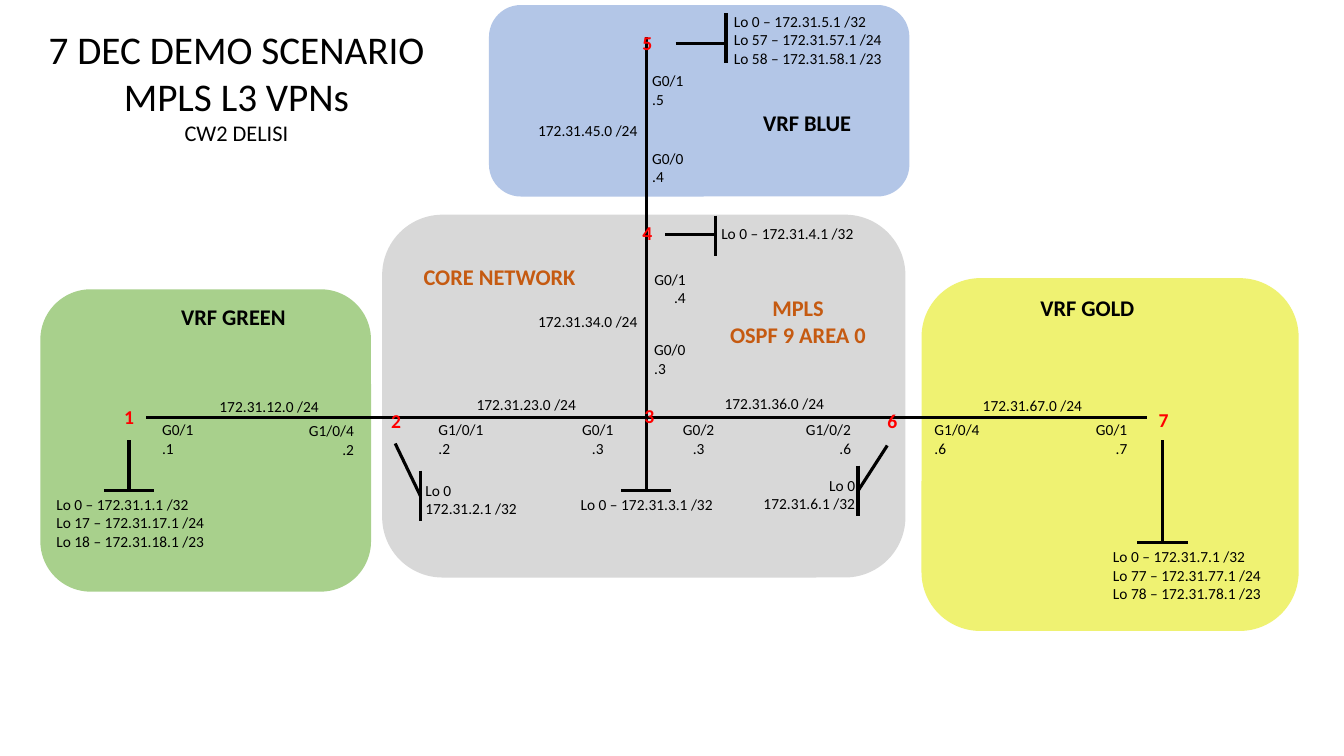
from pptx import Presentation
from pptx import util as u
from pptx.dml.color import RGBColor
from pptx.enum import shapes, text
from pptx.oxml.ns import qn
from lxml import etree

PX = 9144  # 100 px to the inch
FONT = "Calibri"
COLORS = {
    "blue": "B3C6E7", "gold": "EFF272", "green": "A8D08C", "core": "D8D8D8",
    "ink": "000000", "router": "FF0000", "mpls": "C55A11",
}
LEFT, CENTER, RIGHT = (text.PP_ALIGN.LEFT, text.PP_ALIGN.CENTER,
                       text.PP_ALIGN.RIGHT)
LABEL_SIZE, ROUTER_SIZE, HEADING_SIZE = 11, 14, 16
PORT_WIDTH, SUBNET_WIDTH, LOOPBACK_WIDTH = 76, 158, 299

# Panel boxes: left, top, width, height
BOXES = {
    "blue": (485, 5, 417, 190),
    "gold": (914, 276, 374, 350),
    "green": (40, 287, 328, 300),
    "core": (379, 213, 519, 360),
}
TRUNKS = [((641, 487), (641, 37)), ((145, 414), (1138, 414))]

# Parts of each region, placed from its panel's top left corner
# routers: number, x, y
# stubs: start, bar centre, bar length, whether the bar is upright
# headings: text, x, y, width, colour
# subnets: text, x, y
# labels (ports and loopbacks): text, x, y, width, alignment
REGIONS = {
    "blue": {
        "routers": [("5", 142, 21)],
        "stubs": [((185, 38), (235, 33), 50, True)],
        "headings": [("VRF BLUE", 261, 98, 109, "ink")],
        "subnets": [("172.31.45.0 /24", 19, 110)],
        "labels": [
            ("G0/1\n.5", 152, 61, PORT_WIDTH, LEFT),
            ("G0/0\n.4", 152, 138, PORT_WIDTH, LEFT),
            ("Lo 0 – 172.31.5.1 /32\nLo 57 – 172.31.57.1 /24\n"
             "Lo 58 – 172.31.58.1 /23", 233, 2, LOOPBACK_WIDTH, LEFT),
        ],
    },
    "gold": {
        "routers": [("7", 225, 124)],
        "stubs": [((239, 161), (239, 262), 50, False)],
        "headings": [("VRF GOLD", 107, 11, 115, "ink")],
        "subnets": [("172.31.67.0 /24", 31, 112)],
        "labels": [
            ("G1/0/4\n.6", 3, 136, PORT_WIDTH, LEFT),
            ("G0/1\n.7", 138, 136, PORT_WIDTH, RIGHT),
            ("Lo 0 – 172.31.7.1 /32\nLo 77 – 172.31.77.1 /24\n"
             "Lo 78 – 172.31.78.1 /23", 180, 262, LOOPBACK_WIDTH, LEFT),
        ],
    },
    "green": {
        "routers": [("1", 73, 110)],
        "stubs": [((88, 150), (88, 200), 50, False)],
        "headings": [("VRF GREEN", 129, 9, 125, "ink")],
        "subnets": [("172.31.12.0 /24", 148, 102)],
        "labels": [
            ("G0/1\n.1", 111, 125, PORT_WIDTH, LEFT),
            ("G1/0/4\n.2", 245, 126, PORT_WIDTH, RIGHT),
            ("Lo 0 – 172.31.1.1 /32\nLo 17 – 172.31.17.1 /24\n"
             "Lo 18 – 172.31.18.1 /23", 6, 199, LOOPBACK_WIDTH, LEFT),
        ],
    },
    "core": {
        "routers": [("2", -1, 188), ("3", 250, 183), ("4", 248, 1),
                    ("6", 491, 188)],
        "stubs": [
            ((13, 227), (38, 279), 50, True),
            ((262, 201), (262, 274), 50, False),
            ((281, 20), (331, 21), 40, True),
            ((501, 229), (472, 274), 50, True),
        ],
        "headings": [("CORE NETWORK", 30, 43, 173, "mpls"),
                     ("MPLS\nOSPF 9 AREA 0", 334, 74, 157, "mpls")],
        "subnets": [("172.31.34.0 /24", 125, 92),
                    ("172.31.23.0 /24", 64, 174),
                    ("172.31.36.0 /24", 310, 173)],
        "labels": [
            ("G0/1\n.4", 257, 50, 54, RIGHT),
            ("G0/0\n.3", 260, 120, PORT_WIDTH, LEFT),
            ("G1/0/1\n.2", 46, 199, 107, LEFT),
            ("G0/1\n.3", 176, 199, PORT_WIDTH, CENTER),
            ("G0/2\n.3", 276, 199, PORT_WIDTH, CENTER),
            ("G1/0/2\n.6", 364, 199, 111, RIGHT),
            ("Lo 0\n172.31.2.1 /32", 33, 259, 117, LEFT),
            ("Lo 0 – 172.31.3.1 /32", 187, 273, LOOPBACK_WIDTH, LEFT),
            ("Lo 0 – 172.31.4.1 /32", 316, 4, 172, CENTER),
            ("Lo 0\n172.31.6.1 /32", 321, 254, 158, RIGHT),
        ],
    },
}


def rgb(name):
    return RGBColor.from_string(COLORS[name])


def add_line(slide, start, end):
    line = slide.shapes.add_connector(
        shapes.MSO_CONNECTOR.STRAIGHT, *(v * PX for v in (*start, *end)))
    line.line.color.rgb = rgb("ink")
    line.line.width = u.Pt(2.25)
    etree.SubElement(line._element.spPr, qn("a:effectLst"))


def add_text(slide, words, left, top, width, sizes, align=CENTER,
             color="ink", bold=False, wrap=True):
    """Add a text box; sizes holds one point size for each line."""
    height = 10 + round(sum(sizes) * 1.22 / 0.72)
    box = slide.shapes.add_textbox(left * PX, top * PX, width * PX, height * PX)
    frame = box.text_frame
    frame.word_wrap = wrap
    frame.text = words
    for paragraph, size in zip(frame.paragraphs, sizes):
        paragraph.alignment = align
        for run in paragraph.runs:
            run.font.name = FONT
            run.font.size = u.Pt(size)
            run.font.bold = bold
            run.font.color.rgb = rgb(color)


def draw_panel(slide, box, color):
    panel = slide.shapes.add_shape(
        shapes.MSO_SHAPE.ROUNDED_RECTANGLE, *(v * PX for v in box))
    panel.shadow.inherit = False
    panel.fill.solid()
    panel.fill.fore_color.rgb = rgb(color)
    panel.line.fill.background()


def draw_region(slide, box, parts):
    left, top = box[:2]

    # Loopback stubs, each ending in a bar
    for (x, y), (bar_x, bar_y), length, upright in parts["stubs"]:
        x, y, bar_x, bar_y = x + left, y + top, bar_x + left, bar_y + top
        half = length // 2
        dx, dy = (0, half) if upright else (half, 0)
        level = upright and abs(y - bar_y) <= 5
        add_line(slide, (x, y), (bar_x, y if level else bar_y))
        add_line(slide, (bar_x - dx, bar_y - dy), (bar_x + dx, bar_y + dy))

    # Port, loopback and subnet addresses
    subnets = [(*subnet, SUBNET_WIDTH, CENTER) for subnet in parts["subnets"]]
    for words, x, y, width, align in parts["labels"] + subnets:
        sizes = [LABEL_SIZE] * len(words.split("\n"))
        add_text(slide, words, left + x, top + y, width, sizes, align)

    # Router numbers
    for number, x, y in parts["routers"]:
        add_text(slide, number, left + x, top + y, 30, [ROUTER_SIZE],
                 color="router", bold=True, wrap=False)

    # Region names
    for words, x, y, width, color in parts["headings"]:
        sizes = [HEADING_SIZE] * len(words.split("\n"))
        add_text(slide, words, left + x, top + y, width, sizes,
                 color=color, bold=True, wrap=False)


def draw_title(slide, left, top, width):
    add_text(slide, "7 DEC DEMO SCENARIO\nMPLS L3 VPNs\nCW2 DELISI",
             left, top, width, [28, 28, 16])


def main():
    deck = Presentation()
    deck.slide_width, deck.slide_height = 1333 * PX, 750 * PX
    slide = deck.slides.add_slide(deck.slide_layouts[6])

    # Panels lie under the trunks, which cross several regions
    for name, box in BOXES.items():
        draw_panel(slide, box, name)
    for start, end in TRUNKS:
        add_line(slide, start, end)
    for name, parts in REGIONS.items():
        draw_region(slide, BOXES[name], parts)
    draw_title(slide, 36, 20, 397)

    deck.save("out.pptx")


if __name__ == "__main__":
    main()
